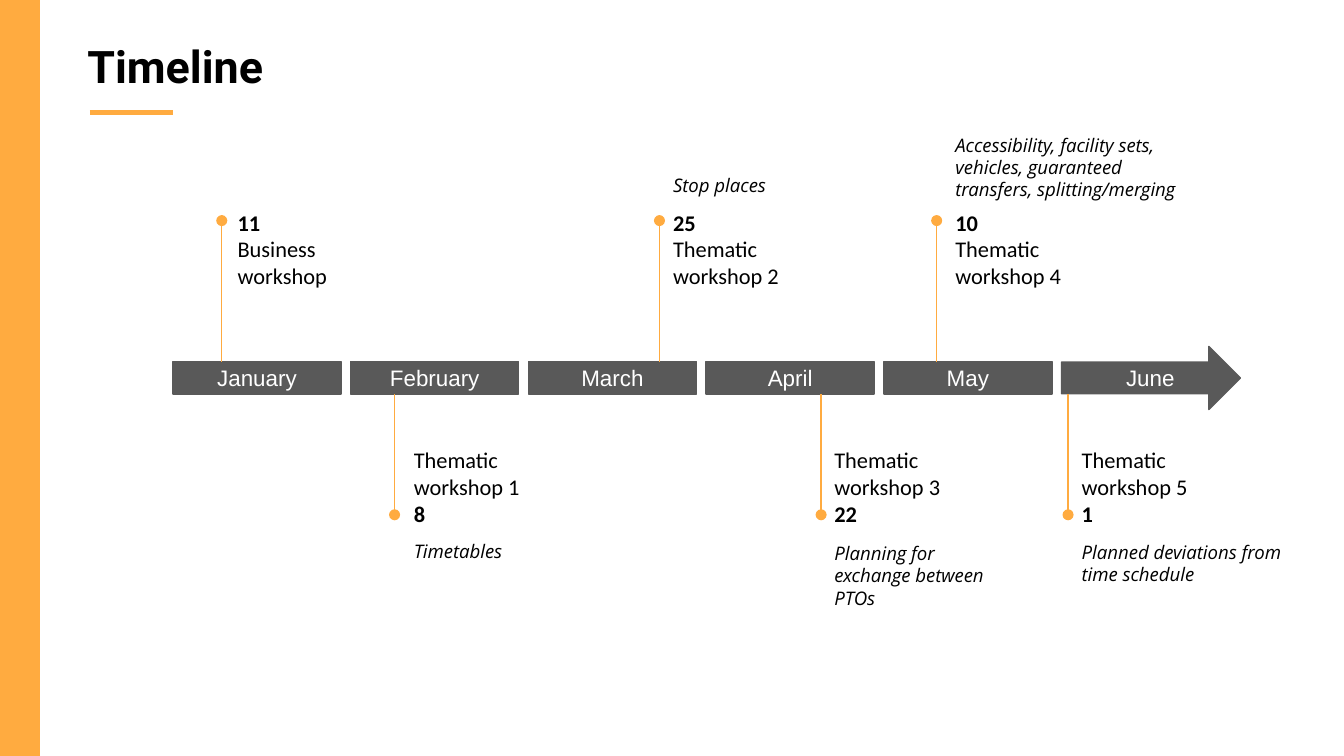
from dataclasses import dataclass
from copy import deepcopy
from pptx import Presentation
from pptx.dml.color import RGBColor
from pptx.enum.shapes import MSO_CONNECTOR, MSO_SHAPE
from pptx.enum.text import MSO_ANCHOR, MSO_AUTO_SIZE, PP_ALIGN
from pptx.oxml.ns import qn
from pptx.util import Pt
from lxml.etree import SubElement


@dataclass(frozen=True)
class Theme:
    accent: str = "FFAB40"
    bar: str = "595959"
    ink: str = "000000"
    paper: str = "FFFFFF"
    title_size: int = 24
    body_size: int = 12
    note_size: int = 10


THEME = Theme()

# Month bar: equal steps, the last month is an arrow
MONTHS = ["January", "February", "March", "April", "May", "June"]
BAR_LEFT, BAR_TOP, BAR_WIDTH, BAR_HEIGHT, BAR_STEP = 92.7, 193.7, 90, 17.4, 95.2

# Marker x, text x, above the bar, day, name, note, note (top, width, height)
EVENTS = [
    (118.8, 120.2, True, "11", "Business\nworkshop", None, None),
    (211.4, 214.6, False, "8", "Thematic\nworkshop 1", "Timetables", (283, 80, 26.6)),
    (353.3, 353.5, True, "25", "Thematic\nworkshop 2", "Stop places", (87, 106, 26.6)),
    (439.9, 439.9, False, "22", "Thematic\nworkshop 3",
     "Planning for exchange between PTOs", (283, 106, 51)),
    (501.8, 504.7, True, "10", "Thematic\nworkshop 4",
     "Accessibility, facility sets, vehicles, guaranteed transfers, splitting/merging",
     (64.3, 145.4, 51)),
    (572.2, 572.4, False, "1", "Thematic\nworkshop 5",
     "Planned deviations from\ntime schedule", (282.5, 145.4, 38.9)),
]


def rgb(value):
    return RGBColor.from_string(value)


def write(p, text, size=THEME.body_size, font="Calibri", color=THEME.ink,
          bold=False, italic=False, align=PP_ALIGN.LEFT):
    """Write text into a paragraph; newlines become line breaks."""
    p.alignment = align
    for i, line in enumerate(text.split("\n")):
        if i:
            p._p.add_br().append(deepcopy(r._r.rPr))
        r = p.add_run()
        r.text = line
        r.font.size, r.font.name = Pt(size), font
        r.font.bold, r.font.italic = bold, italic
        r.font.color.rgb = rgb(color)


def set_frame(tf, anchor=MSO_ANCHOR.TOP, left=7.2):
    tf.word_wrap = True
    tf.vertical_anchor = anchor
    tf.margin_left = Pt(left)
    tf.margin_top = tf.margin_right = tf.margin_bottom = Pt(7.2)
    return tf


def add_text(s, x, y, w, h):
    return set_frame(s.shapes.add_textbox(Pt(x), Pt(y), Pt(w), Pt(h)).text_frame)


def add_block(s, kind, x, y, w, h, color, outlined=True):
    sp = s.shapes.add_shape(kind, Pt(x), Pt(y), Pt(w), Pt(h))
    sp.shadow.inherit = False
    sp.fill.solid()
    sp.fill.fore_color.rgb = rgb(color)
    if outlined:
        sp.line.color.rgb = rgb(color)
        sp.line.width = Pt(0.75)
    else:
        sp.line.fill.background()
    return sp


def add_line(s, x1, y1, x2, y2, width, dot=False):
    cn = s.shapes.add_connector(MSO_CONNECTOR.STRAIGHT, Pt(x1), Pt(y1), Pt(x2), Pt(y2))
    cn.line.color.rgb = rgb(THEME.accent)
    cn.line.width = Pt(width)
    if dot:
        SubElement(cn.line._get_or_add_ln(), qn("a:tailEnd"), type="oval")
    SubElement(cn._element.spPr, qn("a:effectLst"))


def add_title(s, text):
    sp = s.shapes.title
    sp.left, sp.top, sp.width, sp.height = Pt(39.6), Pt(13.5), Pt(558), Pt(34.6)
    tf = set_frame(sp.text_frame)
    tf.auto_size = MSO_AUTO_SIZE.NONE
    write(tf.paragraphs[0], text, size=THEME.title_size, font="Roboto", bold=True)


def add_month(s, i, name):
    x = BAR_LEFT + i * BAR_STEP
    if i == len(MONTHS) - 1:
        sp = add_block(s, MSO_SHAPE.RIGHT_ARROW, x, 185.6, 95.8, 33.8, THEME.bar)
        left, align = 34.6, PP_ALIGN.LEFT
    else:
        sp = add_block(s, MSO_SHAPE.RECTANGLE, x, BAR_TOP, BAR_WIDTH, BAR_HEIGHT, THEME.bar)
        left, align = 7.2, PP_ALIGN.CENTER
    tf = set_frame(sp.text_frame, MSO_ANCHOR.MIDDLE, left)
    write(tf.paragraphs[0], name, font="Arial", color=THEME.paper, align=align)


def add_event(s, line_x, text_x, above, day, name, note, note_box):
    # Pin from the month bar to the dot
    start, end = (BAR_TOP, 118.2) if above else (BAR_TOP + BAR_HEIGHT, 275.8)
    add_line(s, line_x, start, line_x, end, 0.75, dot=True)

    # The day sits level with the dot
    tf = add_text(s, text_x, 104.6 if above else 232, 141.8, 39.6 if above else 58.3)
    lines = [(day, True), (name, False)]
    first, second = lines if above else reversed(lines)
    write(tf.paragraphs[0], first[0], bold=first[1])
    write(tf.add_paragraph(), second[0], bold=second[1])

    if note:
        top, width, height = note_box
        tf = add_text(s, text_x, top, width, height)
        tf.auto_size = MSO_AUTO_SIZE.SHAPE_TO_FIT_TEXT
        write(tf.paragraphs[0], note, size=THEME.note_size, font="Open Sans", italic=True)


def main():
    prs = Presentation()
    prs.slide_width, prs.slide_height = Pt(720), Pt(405)
    s = prs.slides.add_slide(prs.slide_layouts[5])

    # Side band and heading
    add_block(s, MSO_SHAPE.RECTANGLE, 0, 0, 21.4, 405, THEME.accent, outlined=False)
    add_title(s, "Timeline")
    add_line(s, 48.2, 60.3, 92.9, 60.3, 3)

    # Timeline
    for i, name in enumerate(MONTHS):
        add_month(s, i, name)
    for event in EVENTS:
        add_event(s, *event)

    prs.save("out.pptx")


if __name__ == "__main__":
    main()
